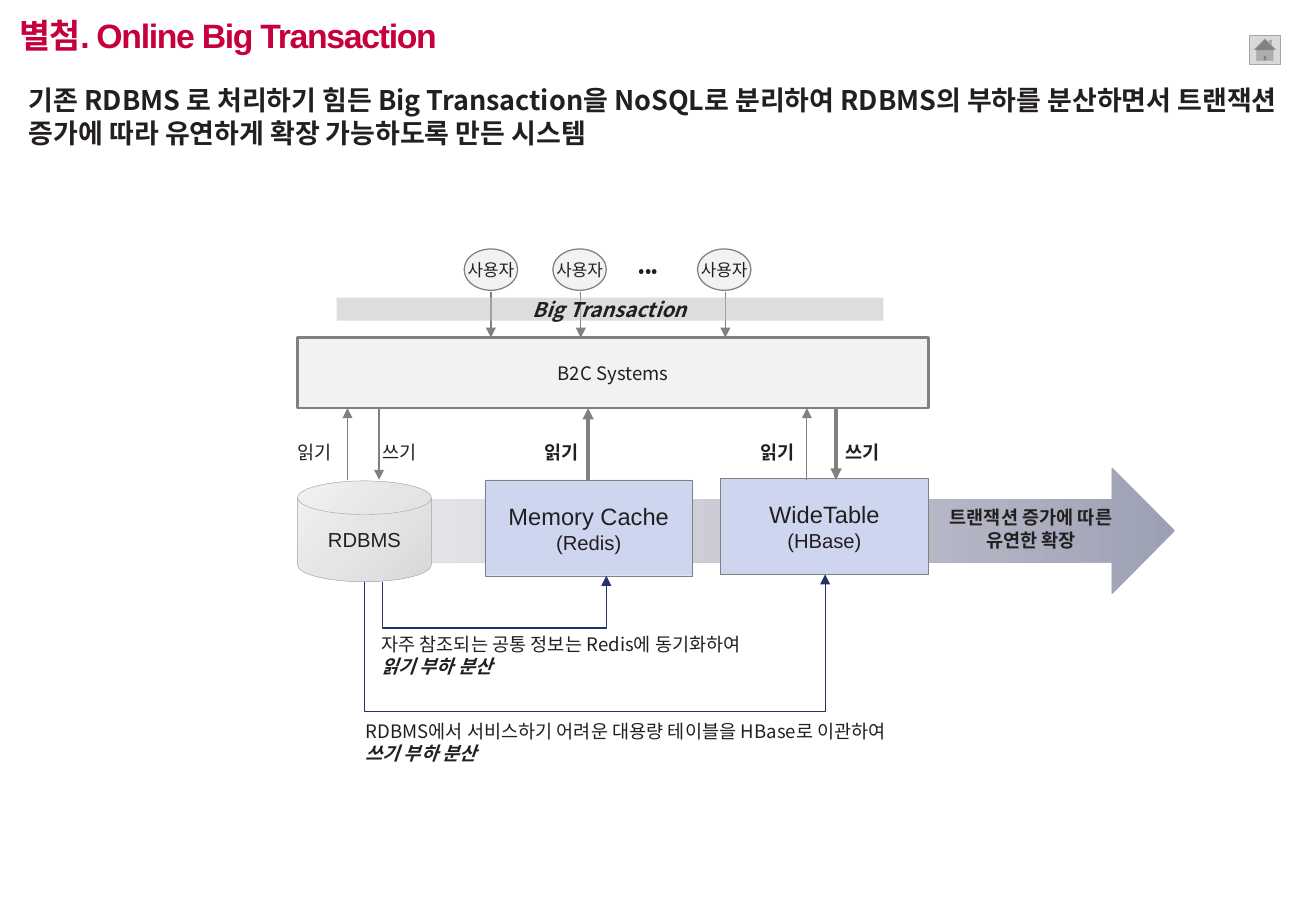
from copy import deepcopy

from lxml.etree import SubElement
from pptx import Presentation
from pptx.dml.color import RGBColor
from pptx.enum.shapes import MSO_CONNECTOR, MSO_SHAPE
from pptx.enum.text import MSO_ANCHOR, PP_ALIGN
from pptx.oxml.ns import qn
from pptx.util import Inches, Pt

KOREAN, LATIN = "Noto Sans CJK KR", "Arial"
INK, GRAY, LIGHT, SILVER, BLUE, NAVY = "231F20", "808080", "F2F2F2", "A6A6A6", "CED6EF", "233368"
RED = "C5003D"

TITLE = "별첨. Online Big Transaction"
SUMMARY = ("기존 RDBMS 로 처리하기 힘든 Big Transaction을 NoSQL로 분리하여 RDBMS의 부하를 "
           "분산하면서 트랜잭션 증가에 따라 유연하게 확장 가능하도록 만든 시스템")
GROWTH = "트랜잭션 증가에 따른 유연한 확장"

USER, USER_LEFTS = "사용자", (3.82, 4.55, 5.74)
USER_ARROWS = (4.04, 4.78, 5.97)
STORES = [  # name, product, left, top
    ("WideTable", "(HBase)", 5.93, 3.94),
    ("Memory Cache", "(Redis)", 3.99, 3.95),
]
SYSTEM_BOTTOM, STORE_TOP = 3.36, 3.95
FLOWS = [  # x, goes up, line width
    (2.86, True, 0.75), (3.12, False, 0.75), (4.84, True, 2.25),
    (6.64, True, 0.75), (6.88, False, 2.25),
]
FLOW_LABELS = [  # text, left, bold
    ("읽기", 2.35, False), ("쓰기", 3.05, False), ("읽기", 4.38, True),
    ("읽기", 6.16, True), ("쓰기", 6.86, True),
]
SYNCS = [  # start x, start y, end x, end y, lowest y
    (3.00, 4.79, 6.79, 4.73, 5.86),
    (3.15, 4.79, 4.99, 4.74, 5.17),
]
NOTES = [  # text, emphasis, left, top, width
    ("RDBMS에서 서비스하기 어려운 대용량 테이블을 HBase로 이관하여 ", "쓰기 부하 분산", 2.91, 5.88, 4.77),
    ("자주 참조되는 공통 정보는 Redis에 동기화하여 \v", "읽기 부하 분산", 3.04, 5.16, 3.37),
]

presentation = Presentation()
presentation.slide_width, presentation.slide_height = Inches(10.83), Inches(7.5)
slide = presentation.slides.add_slide(presentation.slide_layouts[5])


def color(value):
    return RGBColor.from_string(value)


def run(text, size, font=KOREAN, bold=False, italic=False, ink=INK):
    return text, size, font, bold, italic, ink


def write(shape, paragraphs, align=PP_ALIGN.LEFT, anchor=MSO_ANCHOR.TOP, inset=None, wrap=True):
    """Fill a shape with paragraphs, each a list of run() tuples."""
    frame = shape.text_frame
    frame.word_wrap, frame.vertical_anchor = wrap, anchor
    if inset is not None:
        frame.margin_left = frame.margin_right = Inches(inset)
        frame.margin_top = frame.margin_bottom = Inches(inset)
    for index, runs in enumerate(paragraphs):
        paragraph = frame.add_paragraph() if index else frame.paragraphs[0]
        paragraph.alignment = align
        for text, size, font, bold, italic, ink in runs:
            piece = paragraph.add_run()
            piece.text = text.rstrip("\v")
            piece.font.size, piece.font.name = Pt(size), font
            piece.font.bold, piece.font.italic = bold, italic
            piece.font.color.rgb = color(ink)
            SubElement(piece.font._element, qn("a:ea")).set("typeface", KOREAN)
            if text.endswith("\v"):
                paragraph.add_line_break()


def add_text(left, top, width, height, runs, **options):
    box = slide.shapes.add_textbox(*map(Inches, (left, top, width, height)))
    write(box, [runs], **options)


def add_shape(kind, left, top, width, height, fill=None, line=None, weight=0.25):
    shape = slide.shapes.add_shape(kind, *map(Inches, (left, top, width, height)))
    shape.shadow.inherit = False
    if fill:
        shape.fill.solid()
        shape.fill.fore_color.rgb = color(fill)
    if line:
        shape.line.color.rgb = color(line)
        shape.line.width = Pt(weight)
    else:
        shape.line.fill.background()
    return shape


def write_centered(shape, paragraphs, **options):
    write(shape, paragraphs, PP_ALIGN.CENTER, MSO_ANCHOR.MIDDLE, **options)


def fill_gradient(shape, stops, angle):
    """Give a shape a three-stop gradient."""
    shape.fill.gradient()
    shape.fill.gradient_angle = angle
    stop_list = shape._element.spPr.find(".//" + qn("a:gsLst"))
    stop_list.insert(1, deepcopy(stop_list[0]))
    for stop, position, value in zip(shape.fill.gradient_stops, (0, 0.5, 1), stops):
        stop.position = position
        stop.color.rgb = color(value)


def add_arrow(kind, start_x, start_y, end_x, end_y, line, weight=0.75):
    arrow = slide.shapes.add_connector(kind, *map(Inches, (start_x, start_y, end_x, end_y)))
    arrow.line.color.rgb = color(line)
    arrow.line.width = Pt(weight)
    SubElement(arrow.line._get_or_add_ln(), qn("a:tailEnd")).set("type", "triangle")
    SubElement(arrow._element.spPr, qn("a:effectLst"))
    return arrow


def add_sync(start_x, start_y, end_x, end_y, lowest):
    """Elbow arrow that runs down, right and up again: a quarter-turned, flipped connector."""
    rise, reach = start_y - end_y, end_x - start_x
    left, top = (start_x + end_x - rise) / 2, (start_y + end_y - reach) / 2
    arrow = add_arrow(MSO_CONNECTOR.ELBOW, left, top, left + rise, top + reach, NAVY)
    properties = arrow._element.spPr
    frame = properties.find(qn("a:xfrm"))
    for name, value in (("rot", "5400000"), ("flipH", "1"), ("flipV", "1")):
        frame.set(name, value)
    guide = SubElement(properties.find(".//" + qn("a:avLst")), qn("a:gd"))
    guide.set("name", "adj1")
    guide.set("fmla", f"val {round((start_y - lowest) / rise * 100000)}")


growth_arrow = add_shape(MSO_SHAPE.RIGHT_ARROW, 3.55, 3.85, 6.12, 1.04)
fill_gradient(growth_arrow, ("9CA0B4", "C4C5D0", "E2E3E8"), 180)

title = slide.shapes.title
title.left, title.top, title.width, title.height = map(Inches, (0.06, 0.05, 8.04, 0.47))
write(title, [[run(TITLE, 20, LATIN, True, ink=RED)]], anchor=MSO_ANCHOR.MIDDLE)
title.text_frame.paragraphs[0].runs[0].font._element.set("spc", "-80")
add_text(0.14, 0.64, 10.68, 0.63, [run(SUMMARY, 16, bold=True)])

for name, product, left, top in STORES:
    store = add_shape(MSO_SHAPE.RECTANGLE, left, top, 1.71, 0.79, BLUE, GRAY)
    write_centered(store, [[run(name, 14, LATIN)], [run(product, 12, LATIN)]])

database = add_shape(MSO_SHAPE.FLOWCHART_MAGNETIC_DISK, 2.45, 3.96, 1.1, 0.83, line=SILVER)
fill_gradient(database, ("D8D8D8", "E5E5E5", "F2F2F2"), 135)
write_centered(database, [[run("RDBMS", 12, LATIN)]], inset=0.04)

systems = add_shape(MSO_SHAPE.RECTANGLE, 2.45, 2.78, 5.19, 0.58, LIGHT, GRAY, 1.5)
write_centered(systems, [[run("B2C Systems", 11)]], inset=0.04, wrap=False)

for x, upward, weight in FLOWS:
    start, end = (STORE_TOP, SYSTEM_BOTTOM) if upward else (SYSTEM_BOTTOM, STORE_TOP)
    add_arrow(MSO_CONNECTOR.STRAIGHT, x, start, x, end, GRAY, weight)
for text, left, bold in FLOW_LABELS:
    add_text(left, 3.58, 0.82, 0.29, [run(text, 11, bold=bold)])

for sync in SYNCS:
    add_sync(*sync)
for text, emphasis, left, top, width in NOTES:
    add_text(left, top, width, 0.47, [run(text, 11), run(emphasis, 11, bold=True, italic=True)])

for left in USER_LEFTS:
    user = add_shape(MSO_SHAPE.OVAL, left, 2.05, 0.44, 0.34, LIGHT, GRAY, 0.75)
    write_centered(user, [[run(USER, 10)]], inset=0.04, wrap=False)
add_text(5.16, 2.08, 0.41, 0.29, [run("•••", 11)], wrap=False)
for x in USER_ARROWS:
    add_arrow(MSO_CONNECTOR.STRAIGHT, x, 2.4, x, 2.78, GRAY)

band = add_shape(MSO_SHAPE.RECTANGLE, 2.77, 2.45, 4.5, 0.19, "BFBFBF")
band_color = band._element.spPr.find(".//" + qn("a:srgbClr"))
SubElement(band_color, qn("a:alpha")).set("val", "53000")
write_centered(band, [[run("Big Transaction", 12, bold=True, italic=True)]])

add_text(7.62, 4.12, 1.73, 0.47, [run(GROWTH, 11, bold=True)], align=PP_ALIGN.CENTER)
add_shape(MSO_SHAPE.ACTION_BUTTON_HOME, 10.28, 0.29, 0.26, 0.24, "D9D9D9", SILVER)

presentation.save("out.pptx")
